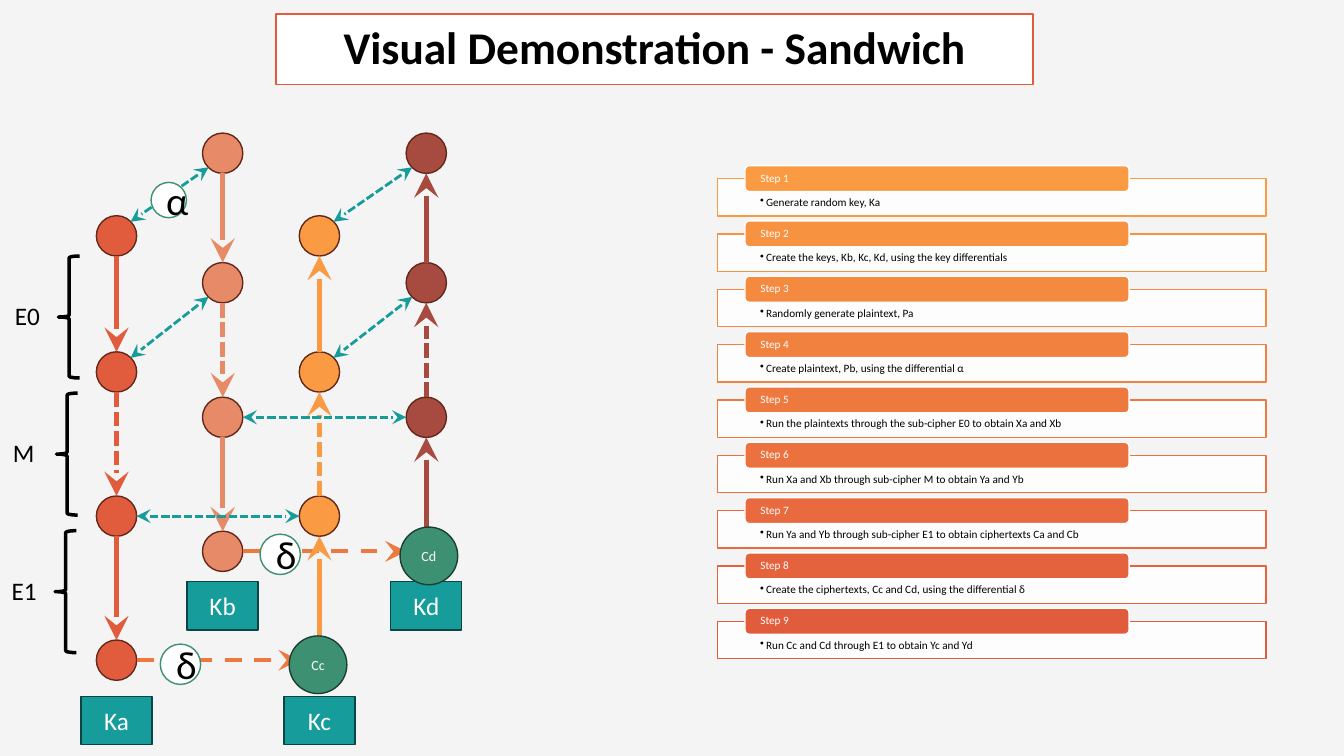
from dataclasses import dataclass
from typing import Optional

from lxml import etree
from pptx import Presentation
from pptx import util as u
from pptx.dml.color import RGBColor
from pptx.enum import dml, shapes, text
from pptx.oxml.ns import qn


@dataclass(frozen=True)
class Theme:
    font: str = "Calibri"
    background: str = "F4F4F4"
    white: str = "FFFFFF"
    black: str = "000000"
    accent: str = "E15C3D"
    teal: str = "169C9A"
    teal_edge: str = "0A4443"
    green: str = "3D9072"
    green_edge: str = "1B3F32"
    node_edge: str = "63281B"
    delta_link: str = "EE793F"
    steps: tuple = ("FA9A42", "F79241", "F48940", "F1813F", "EE793F",
                    "EB723E", "E86A3E", "E4633D", "E15C3D")
    title_size: float = 32.4
    symbol_size: float = 28
    label_size: float = 18
    cipher_size: float = 10
    step_size: float = 8


@dataclass(frozen=True)
class Track:
    key: str
    x: float
    levels: tuple
    key_top: float
    color: str
    down: bool


@dataclass(frozen=True)
class Disc:
    label: str
    x: float
    y: float
    diameter: float


@dataclass(frozen=True)
class Stage:
    name: str
    x: float
    y: float


T = Theme()
# The grid has 100 columns and 100 rows
WIDTH, HEIGHT = u.Inches(13.33), u.Inches(7.5)
COL, ROW = WIDTH / 100, HEIGHT / 100
ASPECT = WIDTH / HEIGHT
RX = 1.5
RY = RX * ASPECT
DIAGONAL = 0.7

FRONT = (31.2, 49.2, 68.27, 87.33)
BACK = (20.27, 37.4, 55.2, 72.93)
A = Track("Ka", 8.67, FRONT, 92.1, "E15C3D", True)
B = Track("Kb", 16.57, BACK, 76.93, "E78A67", True)
C = Track("Kc", 23.77, FRONT, 92.1, "FA9A42", False)
D = Track("Kd", 31.72, BACK, 76.93, "A74B40", False)
TRACKS = (A, B, C, D)
CIPHERTEXTS = (Disc("Cc", 23.66, 87.93, 4.29), Disc("Cd", 31.91, 73.53, 4.29))
DIFFERENTIALS = (Disc("α", 12.56, 26.47, 2.63), Disc("δ", 13.43, 87.87, 3),
                 Disc("δ", 20.85, 73.33, 3))
STAGES = (Stage("E0", 4.35, 33.87), Stage("M", 4.2, 52), Stage("E1", 4.1, 70.2))
STEPS = (
    "Generate random key, Ka",
    "Create the keys, Kb, Kc, Kd, using the key differentials",
    "Randomly generate plaintext, Pa",
    "Create plaintext, Pb, using the differential α",
    "Run the plaintexts through the sub-cipher E0 to obtain Xa and Xb",
    "Run Xa and Xb through sub-cipher M to obtain Ya and Yb",
    "Run Ya and Yb through sub-cipher E1 to obtain ciphertexts Ca and Cb",
    "Create the ciphertexts, Cc and Cd, using the differential δ",
    "Run Cc and Cd through E1 to obtain Yc and Yd",
)
STEP_PITCH = 7.32

Shape = shapes.MSO_SHAPE
Dash = dml.MSO_LINE
Align = text.PP_ALIGN
prs = Presentation()
prs.slide_width, prs.slide_height = WIDTH, HEIGHT
s = prs.slides.add_slide(prs.slide_layouts[6])


def box(x: float, y: float, w: float, h: float) -> tuple:
    return tuple(round(v) for v in (x * COL, y * ROW, w * COL, h * ROW))


def draw(kind, area: tuple, fill: Optional[str], edge: str, width: float = 1):
    sp = s.shapes.add_shape(kind, *area)
    sp.shadow.inherit = False
    if fill:
        sp.fill.solid()
        sp.fill.fore_color.rgb = RGBColor.from_string(fill)
    else:
        sp.fill.background()
    sp.line.color.rgb = RGBColor.from_string(edge)
    sp.line.width = u.Pt(width)
    return sp


def write(sp, words: str, size: float, color: str, align=Align.CENTER,
          anchor=text.MSO_ANCHOR.MIDDLE, bold: bool = False):
    tf = sp.text_frame
    tf.word_wrap = True
    tf.vertical_anchor = anchor
    tf.text = words
    p = tf.paragraphs[0]
    p.alignment = align
    r = p.runs[0]
    r.font.name, r.font.size, r.font.bold = T.font, u.Pt(size), bold
    r.font.color.rgb = RGBColor.from_string(color)
    return p


def inset(sp, side: float, top: float, bottom: float) -> None:
    tf = sp.text_frame
    tf.margin_left = tf.margin_right = u.Inches(side)
    tf.margin_top, tf.margin_bottom = u.Inches(top), u.Inches(bottom)


def draw_disc(x: float, y: float, diameter: float, fill: str, edge: str):
    h = diameter * ASPECT
    return draw(Shape.FLOWCHART_CONNECTOR,
                box(x - diameter / 2, y - h / 2, diameter, h), fill, edge)


def draw_arrow(x1: float, y1: float, x2: float, y2: float, color: str,
               width: float, dash=None, both: bool = False) -> None:
    ends = box(x1, y1, x2, y2)
    cx = s.shapes.add_connector(shapes.MSO_CONNECTOR.STRAIGHT, *ends)
    cx.line.color.rgb = RGBColor.from_string(color)
    cx.line.width = u.Pt(width)
    if dash:
        cx.line.dash_style = dash
    ln = cx.line._get_or_add_ln()
    for tag in ("a:headEnd", "a:tailEnd") if both else ("a:tailEnd",):
        etree.SubElement(ln, qn(tag), type="stealth", w="lg", len="lg")
    etree.SubElement(cx._element.spPr, qn("a:effectLst"))


def link_across(left: Track, right: Track, level: int, *style) -> None:
    draw_arrow(left.x + RX, left.levels[level],
               right.x - RX, right.levels[level], *style)


def draw_step(i: int, words: str, color: str) -> None:
    shift = i * STEP_PITCH
    sp = draw(Shape.RECTANGLE, box(53.4, 23.63 + shift, 40.8, 4.93), T.white, color)
    srgb = sp._element.spPr.find(qn("a:solidFill")).find(qn("a:srgbClr"))
    etree.SubElement(srgb, qn("a:alpha"), val="90000")
    inset(sp, 0.42, 0.18, 0.06)
    p = write(sp, words, T.step_size, T.black, Align.LEFT, text.MSO_ANCHOR.TOP)
    p.level, p.line_spacing = 1, 0.9
    pPr = p._p.get_or_add_pPr()
    pPr.set("marL", str(u.Inches(0.06)))
    pPr.set("indent", str(u.Inches(-0.06)))
    etree.SubElement(pPr, qn("a:buChar"), char="•")

    tab = draw(Shape.ROUNDED_RECTANGLE, box(55.43, 21.9 + shift, 28.58, 3.44),
               color, T.white)
    inset(tab, 0.14, 0, 0)
    write(tab, f"Step {i + 1}", T.step_size, T.white, Align.LEFT).line_spacing = 0.9


# Background and title
s.background.fill.solid()
s.background.fill.fore_color.rgb = RGBColor.from_string(T.background)
title = draw(Shape.RECTANGLE, box(20.55, 1.87, 56.33, 9.33), T.white, T.accent)
write(title, "Visual Demonstration - Sandwich", T.title_size, T.black,
      bold=True).line_spacing = 0.9

# Steps
for i, (words, color) in enumerate(zip(STEPS, T.steps)):
    draw_step(i, words, color)

# Keys and states; the last state of an upward track is its ciphertext
for t in TRACKS:
    key = draw(Shape.RECTANGLE, box(t.x - 2.64, t.key_top, 5.28, 6.4),
               T.teal, T.teal_edge)
    write(key, t.key, T.label_size, T.white)
    for y in t.levels if t.down else t.levels[:-1]:
        draw_disc(t.x, y, 2 * RX, t.color, T.node_edge)

# Differential links
for back, front in ((B, A), (D, C)):
    for y1, y2 in zip(back.levels[:2], front.levels[:2]):
        draw_arrow(back.x - DIAGONAL * RX, y1 + DIAGONAL * RY,
                   front.x + DIAGONAL * RX, y2 - DIAGONAL * RY,
                   T.teal, 2, Dash.SQUARE_DOT, True)
for left, right in ((A, C), (B, D)):
    link_across(left, right, 3, T.delta_link, 3, Dash.DASH)

# Encryption and decryption arrows, dashed through the middle stage
for t in TRACKS:
    for i, (upper, lower) in enumerate(zip(t.levels, t.levels[1:])):
        ends = (upper + RY, lower - RY)
        y1, y2 = ends if t.down else ends[::-1]
        draw_arrow(t.x, y1, t.x, y2, t.color, 3.5, Dash.SQUARE_DOT if i == 1 else None)
for left, right in ((A, C), (B, D)):
    link_across(left, right, 2, T.teal, 2, Dash.SQUARE_DOT, True)

# Ciphertexts and differential symbols
for d in CIPHERTEXTS:
    sp = draw_disc(d.x, d.y, d.diameter, T.green, T.green_edge)
    write(sp, d.label, T.cipher_size, T.white)
for d in DIFFERENTIALS:
    sp = draw_disc(d.x, d.y, d.diameter, T.white, T.green)
    write(sp, d.label, T.symbol_size, T.black)

# Stage braces and labels
for stage in STAGES:
    draw(Shape.LEFT_BRACE, box(stage.x, stage.y, 1.58, 16.13), None, T.black, 2.5)
    label = s.shapes.add_textbox(*box(stage.x - 3.98, stage.y + 5.2, 4.05, 5.33))
    write(label, stage.name, T.label_size, T.black, Align.LEFT, text.MSO_ANCHOR.TOP)

prs.save("out.pptx")
